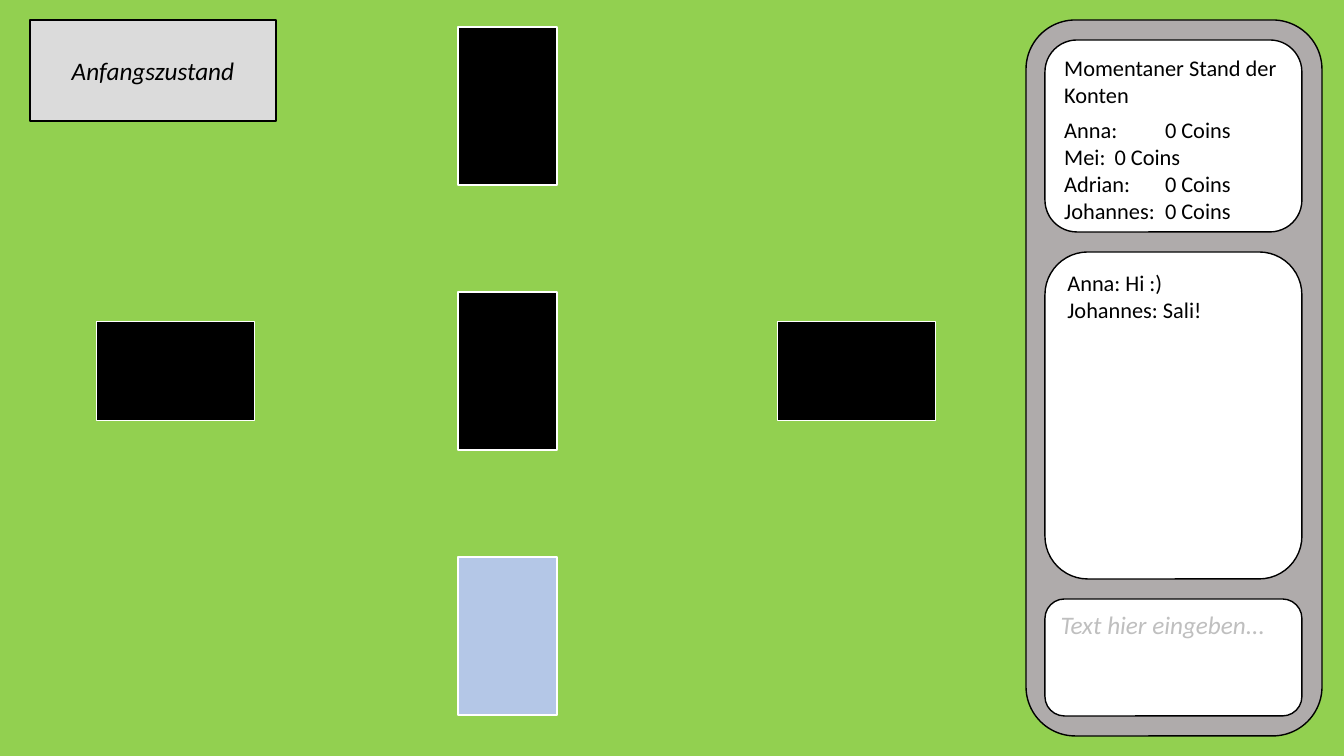
from dataclasses import dataclass

from lxml.etree import SubElement
from pptx import Presentation
from pptx.dml.color import RGBColor as Rgb
from pptx.enum.shapes import MSO_SHAPE as Kind
from pptx.enum.text import MSO_ANCHOR as Anchor, MSO_AUTO_SIZE as Fit, PP_ALIGN as Align
from pptx.oxml.ns import qn
from pptx.util import Pt

SCALE = 12192000 / 1344
WIDE, HIGH = 1344, 756


@dataclass(frozen=True)
class Theme:
    font: str = "Calibri"
    small: int = 16
    large: int = 18
    line: int = 1
    table: str = "92D050"
    panel: str = "AFABAB"
    label: str = "DBDBDB"
    hint: str = "BFBFBF"
    own: str = "B4C7E7"
    black: str = "000000"
    white: str = "FFFFFF"


LOOK = Theme()


def px(num):
    return round(num * SCALE)


def paint(shape, fill, edge):
    shape.fill.solid()
    shape.fill.fore_color.rgb = Rgb.from_string(fill)
    shape.line.color.rgb = Rgb.from_string(edge)
    shape.line.width = Pt(LOOK.line)


def block(slide, kind, box, fill, edge):
    shape = slide.shapes.add_shape(kind, *map(px, box))
    shape.shadow.inherit = False
    paint(shape, fill, edge)
    return shape


def write(shape, lines, size, color, slant=False, align=Align.LEFT, anchor=Anchor.TOP):
    frame = shape.text_frame
    frame.text = "\n".join(lines)
    frame.word_wrap = True
    frame.auto_size = Fit.NONE
    frame.vertical_anchor = anchor
    for para in frame.paragraphs:
        para.alignment = align
        para.font.name = LOOK.font
        para.font.size = Pt(size)
        para.font.italic = slant
        para.font.color.rgb = Rgb.from_string(color)
    return frame


def draw_title(slide, box):
    title = slide.shapes.title
    title.left, title.top, title.width, title.height = map(px, box)
    SubElement(title._element.spPr, qn("a:prstGeom"), prst="roundRect")
    paint(title, LOOK.label, LOOK.black)
    write(title, ["Anfangszustand"], LOOK.large, LOOK.black, True, Align.CENTER, Anchor.MIDDLE)
    slide.shapes._spTree.append(title._element)


def draw_cards(slide, box):
    left, top, wide, high = box
    block(slide, Kind.RECTANGLE, box, LOOK.table, LOOK.table)
    card_w, card_h, step = 99, 158, 265
    mid_x, mid_y = left + 458, top + 292
    cards = [
        (mid_x, mid_y - step, 0, LOOK.black),
        (left + 126, mid_y, 270, LOOK.black),
        (mid_x, mid_y + step, 0, LOOK.own),
        (left + 807, mid_y, 90, LOOK.black),
        (mid_x, mid_y, 0, LOOK.black),
    ]
    for x, y, turn, fill in cards:
        card = block(slide, Kind.RECTANGLE, (x, y, card_w, card_h), fill, LOOK.white)
        card.rotation = turn


def draw_panel(slide, box):
    left, top, wide, high = box
    block(slide, Kind.ROUNDED_RECTANGLE, box, LOOK.panel, LOOK.black)
    names = ["Anna: ", "Mei:", "Adrian:", "Johannes:"]
    coins = ["Momentaner Stand der Konten"] + [f"{name}\t0 Coins" for name in names]
    parts = [
        (192, coins, LOOK.small, LOOK.black, False),
        (327, ["Anna: Hi :)", "Johannes: Sali!"], LOOK.small, LOOK.black, False),
        (117, ["Text hier eingeben..."], LOOK.large, LOOK.hint, True),
    ]
    gap, inner = 20, 257
    x, y = left + (wide - inner) // 2, top + gap
    for tall, lines, size, color, slant in parts:
        field = block(slide, Kind.ROUNDED_RECTANGLE, (x, y, inner, tall), LOOK.white, LOOK.black)
        frame = write(field, lines, size, color, slant)
        if lines is coins:
            frame.paragraphs[0].space_after = Pt(6)
        y += tall + gap


def main():
    deck = Presentation()
    deck.slide_width, deck.slide_height = px(WIDE), px(HIGH)
    slide = deck.slides.add_slide(deck.slide_layouts[5])
    draw_cards(slide, (0, 0, WIDE, HIGH))
    draw_panel(slide, (1026, 20, 296, 716))
    draw_title(slide, (30, 20, 246, 101))
    deck.save("out.pptx")


if __name__ == "__main__":
    main()
